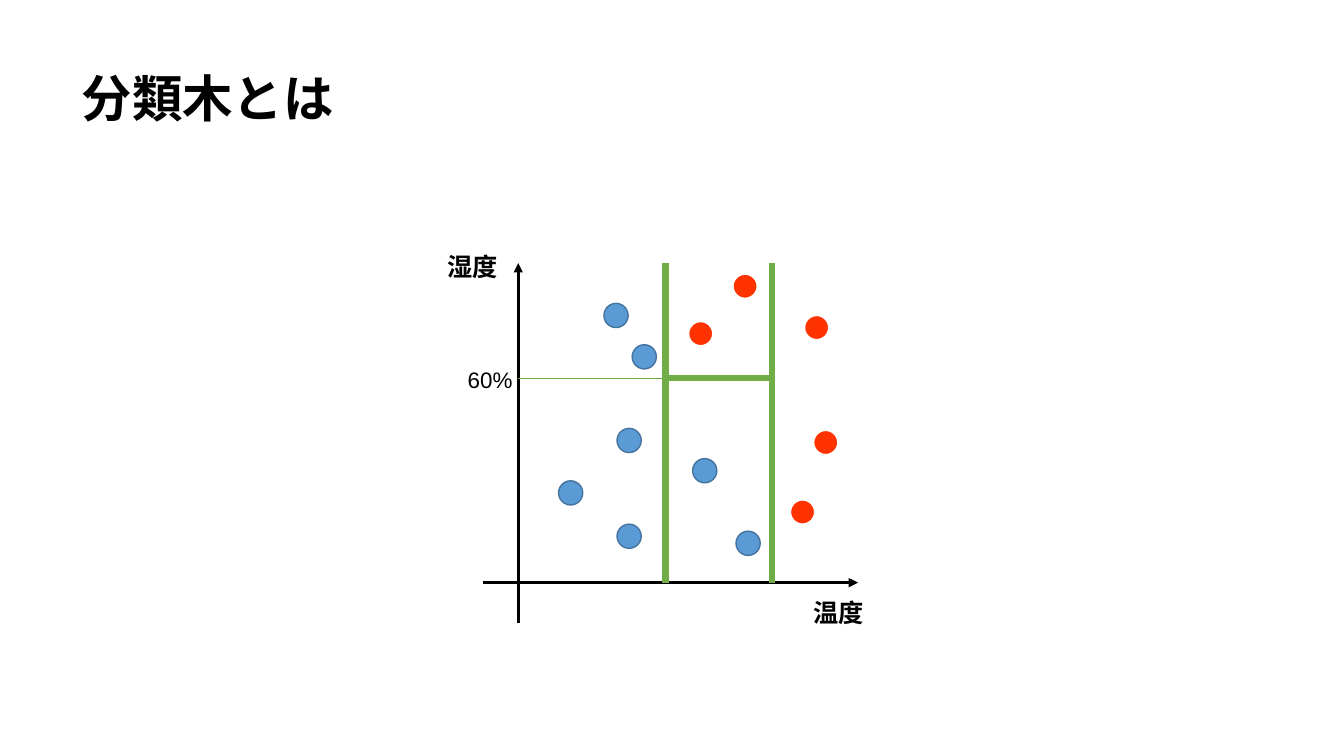
from dataclasses import dataclass

from lxml import etree
from pptx import Presentation
from pptx.dml.color import RGBColor
from pptx.enum.shapes import MSO_CONNECTOR, MSO_SHAPE
from pptx.enum.text import MSO_ANCHOR, MSO_AUTO_SIZE, PP_ALIGN
from pptx.oxml.ns import qn
from pptx.shapes.autoshape import Shape
from pptx.slide import Slide
from pptx.util import Inches, Pt

STRAIGHT = MSO_CONNECTOR.STRAIGHT
OVAL = MSO_SHAPE.OVAL
MIDDLE = MSO_ANCHOR.MIDDLE
LEFT = PP_ALIGN.LEFT
NO_FIT = MSO_AUTO_SIZE.NONE
GROW = MSO_AUTO_SIZE.SHAPE_TO_FIT_TEXT


@dataclass(frozen=True)
class Theme:
    ink: str = "000000"
    split: str = "70AD47"
    blue: str = "5B9BD5"
    edge: str = "43739E"
    red: str = "FF3300"
    white: str = "FFFFFF"
    head: str = "Montserrat"
    body: str = "Arial"
    title: float = 36
    label: float = 18
    tick: float = 16
    axis: float = 2.25
    wall: float = 4.5
    guide: float = 0.5
    rim: float = 1


@dataclass(frozen=True)
class Line:
    x1: float
    y1: float
    x2: float
    y2: float
    color: str
    width: float
    arrow: bool = False


@dataclass(frozen=True)
class Label:
    text: str
    x: float
    y: float
    w: float
    h: float
    size: float
    bold: bool = True


@dataclass(frozen=True)
class Group:
    fill: str
    edge: str
    spots: tuple[tuple[float, float], ...]


THEME = Theme()
DOT = 0.24
TOP, BASE = 2.61, 5.78
ZERO, COOL, WARM = 5.14, 6.6, 7.66
DAMP = 3.75

AXES = (
    Line(ZERO, 6.18, ZERO, TOP, THEME.ink, THEME.axis, True),
    Line(4.79, BASE, 8.51, BASE, THEME.ink, THEME.axis, True),
)
SPLITS = (
    Line(COOL, TOP, COOL, BASE, THEME.split, THEME.wall),
    Line(WARM, TOP, WARM, BASE, THEME.split, THEME.wall),
    Line(COOL, DAMP, WARM, DAMP, THEME.split, THEME.wall),
    Line(ZERO, DAMP, COOL, DAMP, THEME.split, THEME.guide),
)
LABELS = (
    Label("60%", 4.54, 3.58, 0.65, 0.37, THEME.tick, False),
    Label("湿度", 4.34, 2.44, 0.88, 0.4, THEME.label),
    Label("温度", 7.97, 5.88, 0.88, 0.4, THEME.label),
)
GROUPS = (
    Group(THEME.blue, THEME.edge, (
        (5.54, 4.77), (6.12, 5.2), (6.87, 4.55), (6.12, 4.25),
        (6.27, 3.42), (5.99, 3.01), (7.3, 5.27),
    )),
    Group(THEME.red, THEME.white, (
        (6.83, 3.19), (7.27, 2.72), (7.98, 3.13), (8.07, 4.27), (7.84, 4.96),
    )),
)


def rgb(color: str) -> RGBColor:
    return RGBColor.from_string(color)


def place(shape: Shape, x: float, y: float, w: float, h: float) -> None:
    shape.left, shape.top = Inches(x), Inches(y)
    shape.width, shape.height = Inches(w), Inches(h)


def write(shape: Shape, text: str, face: str, size: float, bold: bool) -> None:
    shape.text_frame.text = text
    para = shape.text_frame.paragraphs[0]
    para.alignment = LEFT
    para.font.name = face
    para.font.size = Pt(size)
    para.font.bold = bold
    para.font.color.rgb = rgb(THEME.ink)


def add_title(slide: Slide, text: str) -> None:
    title = slide.shapes.title
    place(title, 0.71, 0.28, 11.5, 1.45)
    write(title, text, THEME.head, THEME.title, True)
    frame = title.text_frame
    frame.auto_size = NO_FIT
    frame.vertical_anchor = MIDDLE
    frame.paragraphs[0].line_spacing = 0.9


def add_line(slide: Slide, line: Line) -> None:
    link = slide.shapes.add_connector(
        STRAIGHT, Inches(line.x1), Inches(line.y1),
        Inches(line.x2), Inches(line.y2))
    link.line.color.rgb = rgb(line.color)
    link.line.width = Pt(line.width)
    if line.arrow:
        stroke = link.line._get_or_add_ln()
        etree.SubElement(stroke, qn("a:tailEnd"), type="triangle")
    etree.SubElement(link._element.spPr, qn("a:effectLst"))


def add_label(slide: Slide, label: Label) -> None:
    box = slide.shapes.add_textbox(
        Inches(label.x), Inches(label.y), Inches(label.w), Inches(label.h))
    write(box, label.text, THEME.body, label.size, label.bold)
    box.text_frame.word_wrap = True
    box.text_frame.auto_size = GROW


def add_dots(slide: Slide, group: Group) -> None:
    for x, y in group.spots:
        dot = slide.shapes.add_shape(
            OVAL, Inches(x), Inches(y), Inches(DOT), Inches(DOT))
        dot.shadow.inherit = False
        dot.fill.solid()
        dot.fill.fore_color.rgb = rgb(group.fill)
        dot.line.color.rgb = rgb(group.edge)
        dot.line.width = Pt(THEME.rim)


def main() -> None:
    deck = Presentation()
    deck.slide_width, deck.slide_height = Inches(13.33), Inches(7.5)
    slide = deck.slides.add_slide(deck.slide_layouts.get_by_name("Title Only"))
    add_title(slide, "分類木とは")
    for line in AXES:
        add_line(slide, line)
    for group in GROUPS:
        add_dots(slide, group)
    for label in LABELS:
        add_label(slide, label)
    for line in SPLITS:
        add_line(slide, line)
    deck.save("out.pptx")


if __name__ == "__main__":
    main()
